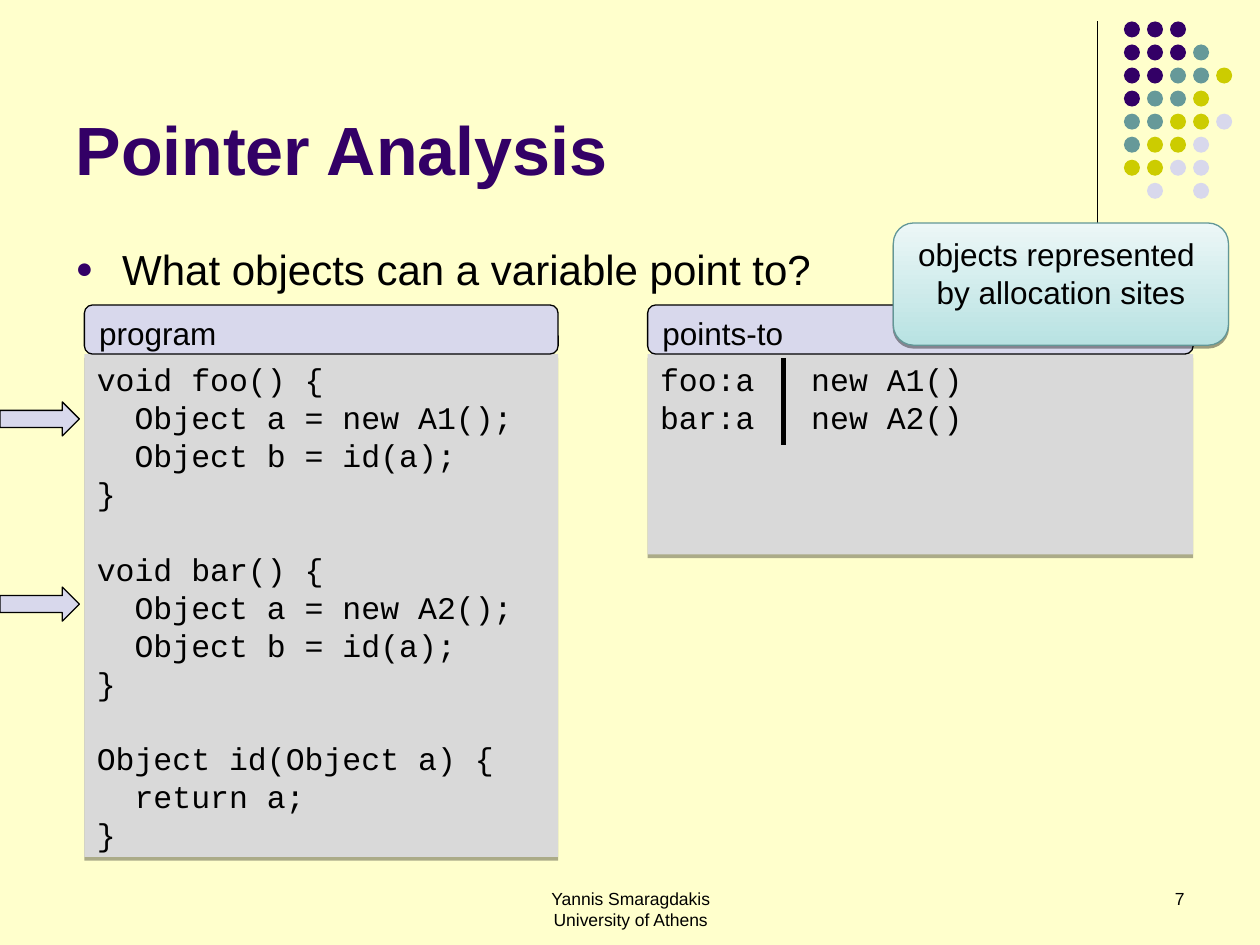
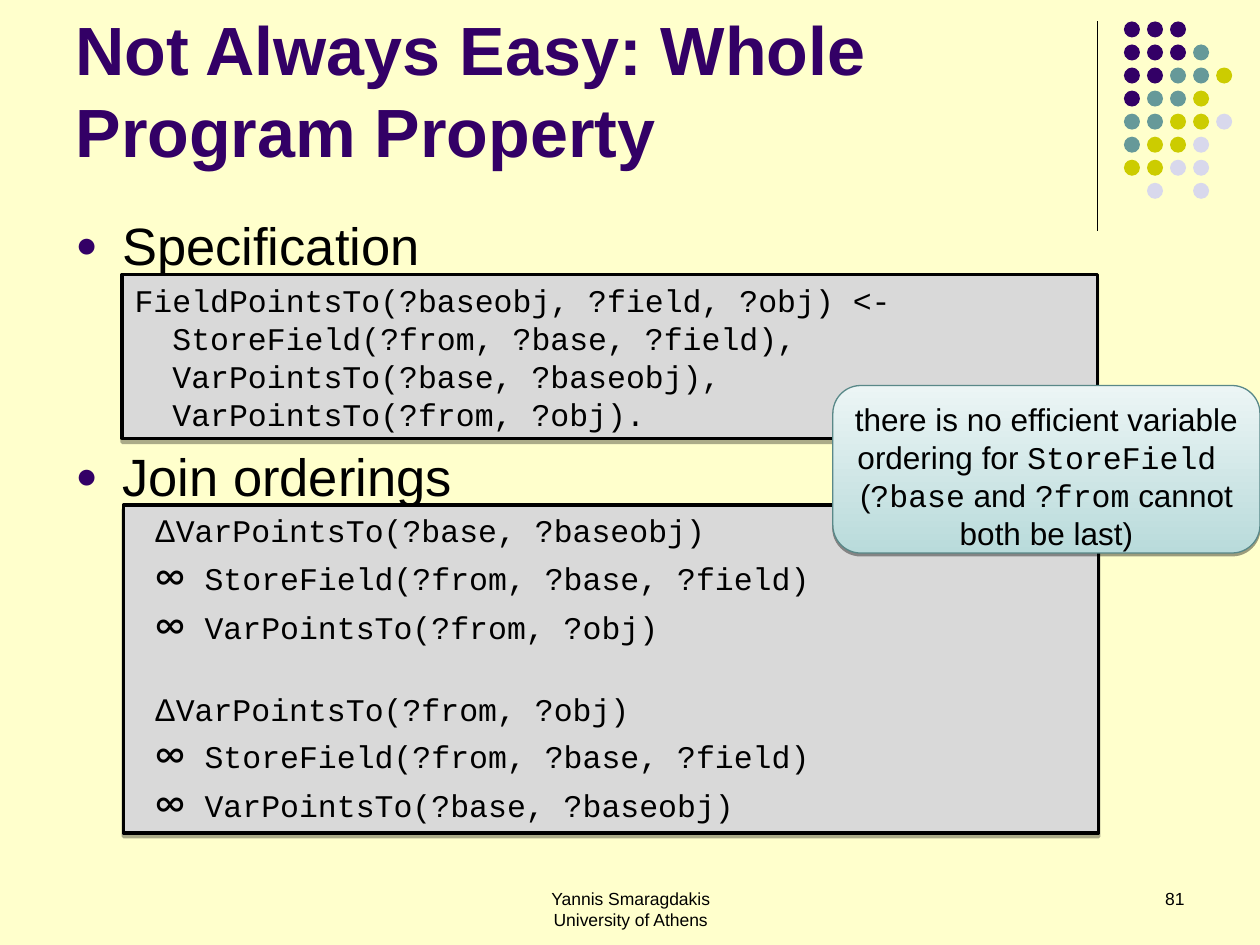
from dataclasses import dataclass

from lxml import etree
from pptx import Presentation
from pptx.dml.color import RGBColor
from pptx.enum.shapes import MSO_CONNECTOR, MSO_SHAPE
from pptx.enum.text import MSO_ANCHOR, MSO_AUTO_SIZE, PP_ALIGN
from pptx.oxml.ns import qn
from pptx.util import Inches, Pt

LEFT, CENTER, RIGHT = PP_ALIGN.LEFT, PP_ALIGN.CENTER, PP_ALIGN.RIGHT
TOP, BOTTOM = MSO_ANCHOR.TOP, MSO_ANCHOR.BOTTOM
RECTANGLE, ROUNDED = MSO_SHAPE.RECTANGLE, MSO_SHAPE.ROUNDED_RECTANGLE
ARROW, OVAL = MSO_SHAPE.RIGHT_ARROW, MSO_SHAPE.OVAL
STRAIGHT = MSO_CONNECTOR.STRAIGHT
NO_AUTOFIT = MSO_AUTO_SIZE.NONE

# The slide is a grid of 100 columns and 75 rows of square cells
COLUMNS, ROWS = 100, 75
CELL = Inches(0.1)


@dataclass(frozen=True)
class Theme:
    background: str = "FFFFCC"
    purple: str = "330066"
    teal: str = "669999"
    olive: str = "CCCC00"
    lavender: str = "D8D8EC"
    gray: str = "D9D9D9"
    black: str = "000000"
    sans: str = "Arial"
    mono: str = "Courier New"
    symbol: str = "Lato"
    title_size: float = 39
    title_pitch: float = 47
    symbol_size: float = 24
    symbol_pitch: float = 28.3
    text_size: float = 18
    code_pitch: float = 21.65
    footer_size: float = 10
    thin: float = 0.75
    medium: float = 2
    thick: float = 2.5


THEME = Theme()
MONO = {"font": THEME.mono}
CODE = {"font": THEME.mono, "pitch": THEME.code_pitch}


@dataclass(frozen=True)
class Box:
    left: float
    top: float
    width: float
    height: float

    def emu(self):
        return [round(value * CELL)
                for value in (self.left, self.top, self.width, self.height)]

    def inner(self, left, top, width, height):
        return Box(self.left + left, self.top + top, width, height)


def rgb(color):
    return RGBColor.from_string(color)


def add_element(parent, tag, **attributes):
    element = etree.SubElement(parent, qn(tag))
    for name, value in attributes.items():
        element.set(name, str(value))
    return element


# Text
def write(frame, content, *, size=THEME.text_size, font=THEME.sans,
          color=THEME.black, bold=False, align=LEFT, pitch=1.0, before=0,
          bullet=False, tab=None):
    """Add a paragraph; content is a string or a list of (text, format) runs."""
    paragraph = frame.paragraphs[0]
    if paragraph.runs:
        paragraph = frame.add_paragraph()
    properties = paragraph._p.get_or_add_pPr()
    if bullet:
        properties.set("marL", str(Inches(0.37)))
        properties.set("indent", str(-Inches(0.37)))
        bullet_color = add_element(properties, "a:buClr")
        add_element(bullet_color, "a:srgbClr", val=THEME.purple)
        add_element(properties, "a:buSzPct", val=70000)
        add_element(properties, "a:buChar", char="●")
    if tab:
        tabs = add_element(properties, "a:tabLst")
        add_element(tabs, "a:tab", pos=round(tab * CELL), algn="l")
    paragraph.alignment = align
    paragraph.line_spacing = pitch if pitch == 1.0 else Pt(pitch)
    paragraph.space_before = Pt(before)
    runs = [(content, {})] if isinstance(content, str) else content
    for text, changes in runs:
        for index, piece in enumerate(text.split("\n")):
            if index:
                paragraph.add_line_break()
            if piece:
                run = paragraph.add_run()
                run.text = piece
                run.font.name = changes.get("font", font)
                run.font.size = Pt(changes.get("size", size))
                run.font.color.rgb = rgb(color)
                run.font.bold = bold


def write_code(frame, lines, **options):
    """Add code lines; an empty line becomes space before the next one."""
    before = 0
    for line in lines:
        if line:
            write(frame, line, before=before, **CODE, **options)
        before = 0 if line else THEME.code_pitch


def text_box(slide, box):
    frame = slide.shapes.add_textbox(*box.emu()).text_frame
    frame.word_wrap = True
    return frame


# Shapes
def add_shape(slide, kind, box, fill=None, line=None, line_width=THEME.thin,
              shadow=None):
    """Draw a preset shape; shadow is (opacity in percent, distance in points)."""
    shape = slide.shapes.add_shape(kind, *box.emu())
    shape.shadow.inherit = False
    if fill:
        shape.fill.solid()
        shape.fill.fore_color.rgb = rgb(fill)
    if line:
        shape.line.color.rgb = rgb(line)
        shape.line.width = Pt(line_width)
    else:
        shape.line.fill.background()
    if shadow:
        opacity, distance = shadow
        effects = shape._element.spPr.find(qn("a:effectLst"))
        outer = add_element(effects, "a:outerShdw", blurRad=0, dist=Pt(distance),
                            dir=5400000, algn="t", rotWithShape=0)
        shadow_color = add_element(outer, "a:srgbClr", val=THEME.black)
        add_element(shadow_color, "a:alpha", val=opacity * 1000)
    shape.text_frame.word_wrap = True
    shape.text_frame.vertical_anchor = TOP
    return shape


def vertical_line(slide, column, top, bottom, width):
    ends = (round(value * CELL) for value in (column, top, column, bottom))
    connector = slide.shapes.add_connector(STRAIGHT, *ends)
    connector.line.color.rgb = rgb(THEME.black)
    connector.line.width = Pt(width)
    add_element(connector._element.spPr, "a:effectLst")


def code_box(slide, box, line=None):
    return add_shape(slide, RECTANGLE, box, THEME.gray, line, THEME.medium,
                     shadow=(32, 2.2)).text_frame


def code_panel(slide, box, heading, lines, **options):
    header_rows = 3.9
    body = box.inner(0, header_rows, box.width, box.height - header_rows)
    write_code(code_box(slide, body), lines, **options)
    header = add_shape(slide, ROUNDED, box.inner(0, 0, box.width, header_rows),
                       THEME.lavender, THEME.black)
    write(header.text_frame, heading)


def callout(slide, box, content, bottom_color, top_color, line, **options):
    shape = add_shape(slide, ROUNDED, box, line=line, shadow=(38, 1.6))
    shape.fill.gradient()
    shape.fill.gradient_angle = 90
    for stop, color in zip(shape.fill.gradient_stops, (bottom_color, top_color)):
        stop.color.rgb = rgb(color)
    write(shape.text_frame, content, align=CENTER, **options)


# Elements that every slide shares
def dot_pattern(slide, box):
    colors = {"p": THEME.purple, "t": THEME.teal,
              "o": THEME.olive, "l": THEME.lavender}
    pattern = ("ppp", "pppt", "pptto", "ptto", "ttool", "tool", "ooll", " l l")
    step, diameter = box.width / 4.7, 1.27
    for row, letters in enumerate(pattern):
        for column, letter in enumerate(letters):
            if letter in colors:
                dot = box.inner(column * step, row * step, diameter, diameter)
                add_shape(slide, OVAL, dot, colors[letter])


def footer(slide, box, number):
    center = text_box(slide, box.inner(box.width / 2 - 15.8, 0, 31.7, box.height))
    for line in ("Yannis Smaragdakis", "University of Athens"):
        write(center, line, size=THEME.footer_size, align=CENTER)
    page = text_box(slide, box.inner(box.width - 28.3, 0, 23.3, box.height))
    write(page, number, size=THEME.footer_size, align=RIGHT)


def place(placeholder, box, anchor):
    placeholder.left, placeholder.top, placeholder.width, placeholder.height = box.emu()
    frame = placeholder.text_frame
    frame.word_wrap = True
    frame.auto_size = NO_AUTOFIT
    frame.vertical_anchor = anchor
    return frame


def base_slide(presentation, title, number, title_top, body_top):
    """Add the shared elements and return the slide and its list frame."""
    slide = presentation.slides.add_slide(presentation.slide_layouts[1])
    vertical_line(slide, 87.1, 1.7, 18.3, THEME.thin)
    dot_pattern(slide, Box(89.2, 1.7, 8.6, 14.1))
    title_frame = place(slide.shapes.title, Box(5, title_top, 82.5, 14.2), BOTTOM)
    write(title_frame, title, size=THEME.title_size, color=THEME.purple,
          bold=True, pitch=THEME.title_pitch)
    footer(slide, Box(0, 70, COLUMNS, 5), number)
    body = place(slide.placeholders[1], Box(5, body_top, 90, 48.2), TOP)
    return slide, body


# Slide: pointer analysis
def pointer_analysis(presentation):
    slide, body = base_slide(presentation, "Pointer Analysis", "7", 1.3, 18.8)
    write(body, "What objects can a variable point to?", size=24, bullet=True)
    code_panel(slide, Box(6.7, 24.2, 37.6, 43.8), "program", [
        "void foo() {",
        "  Object a = new A1();",
        "  Object b = id(a);",
        "}",
        "",
        "void bar() {",
        "  Object a = new A2();",
        "  Object b = id(a);",
        "}",
        "",
        "Object id(Object a) {",
        "  return a;",
        "}",
    ])
    code_panel(slide, Box(51.4, 24.2, 43.3, 19.8), "points-to",
               ["foo:a\tnew A1()", "bar:a\tnew A2()"], tab=12)
    vertical_line(slide, 62.2, 28.4, 35.3, THEME.thick)
    for arrow_top in (31.9, 46.6):
        add_shape(slide, ARROW, Box(0, arrow_top, 6.3, 2.7),
                  THEME.lavender, THEME.black)
    callout(slide, Box(70.9, 17.7, 26.6, 9.7),
            "objects represented \nby allocation sites",
            "B8E2E2", "ECF7F7", "629797")


# Slide: whole program property
def join_ordering(frame, first, joined, before):
    """Write one join: the changed relation, then the relations joined to it."""
    write(frame, [(" ", MONO), ("Δ", {}), (first, MONO)],
          pitch=THEME.code_pitch, before=before)
    infinity = {"font": THEME.symbol, "size": THEME.symbol_size}
    for relation in joined:
        write(frame, [(" ", MONO), ("∞", infinity), (" " + relation, MONO)],
              pitch=THEME.symbol_pitch)


def whole_program(presentation):
    slide, body = base_slide(presentation, "Not Always Easy: Whole Program Property",
                             "81", -0.1, 16.4)
    for item, before in (("Specification", 0), ("Join orderings", 96)):
        write(body, item, size=30, bullet=True, before=before)
    write_code(code_box(slide, Box(9.7, 21.8, 77.4, 13), THEME.black), [
        "FieldPointsTo(?baseobj, ?field, ?obj) <-",
        "  StoreField(?from, ?base, ?field),",
        "  VarPointsTo(?base, ?baseobj),",
        "  VarPointsTo(?from, ?obj).",
    ])
    joins = code_box(slide, Box(9.8, 40.1, 77.4, 26), THEME.black)
    store = "StoreField(?from, ?base, ?field)"
    by_base, by_from = "VarPointsTo(?base, ?baseobj)", "VarPointsTo(?from, ?obj)"
    join_ordering(joins, by_base, (store, by_from), before=0)
    join_ordering(joins, by_from, (store, by_base), before=23.5)
    callout(slide, Box(66.1, 30.6, 33.9, 13.3), [
        ("there is no efficient variable ordering for ", {}),
        ("StoreField \n", MONO),
        ("(", {}), ("?base", MONO), (" and ", {}), ("?from", MONO),
        (" cannot both be last)", {}),
    ], "B9DBDB", "ECF5F5", "598888", pitch=THEME.code_pitch)


def main():
    presentation = Presentation()
    presentation.slide_width = COLUMNS * CELL
    presentation.slide_height = ROWS * CELL
    background = presentation.slide_master.background.fill
    background.solid()
    background.fore_color.rgb = rgb(THEME.background)
    pointer_analysis(presentation)
    whole_program(presentation)
    presentation.save("out.pptx")


if __name__ == "__main__":
    main()
